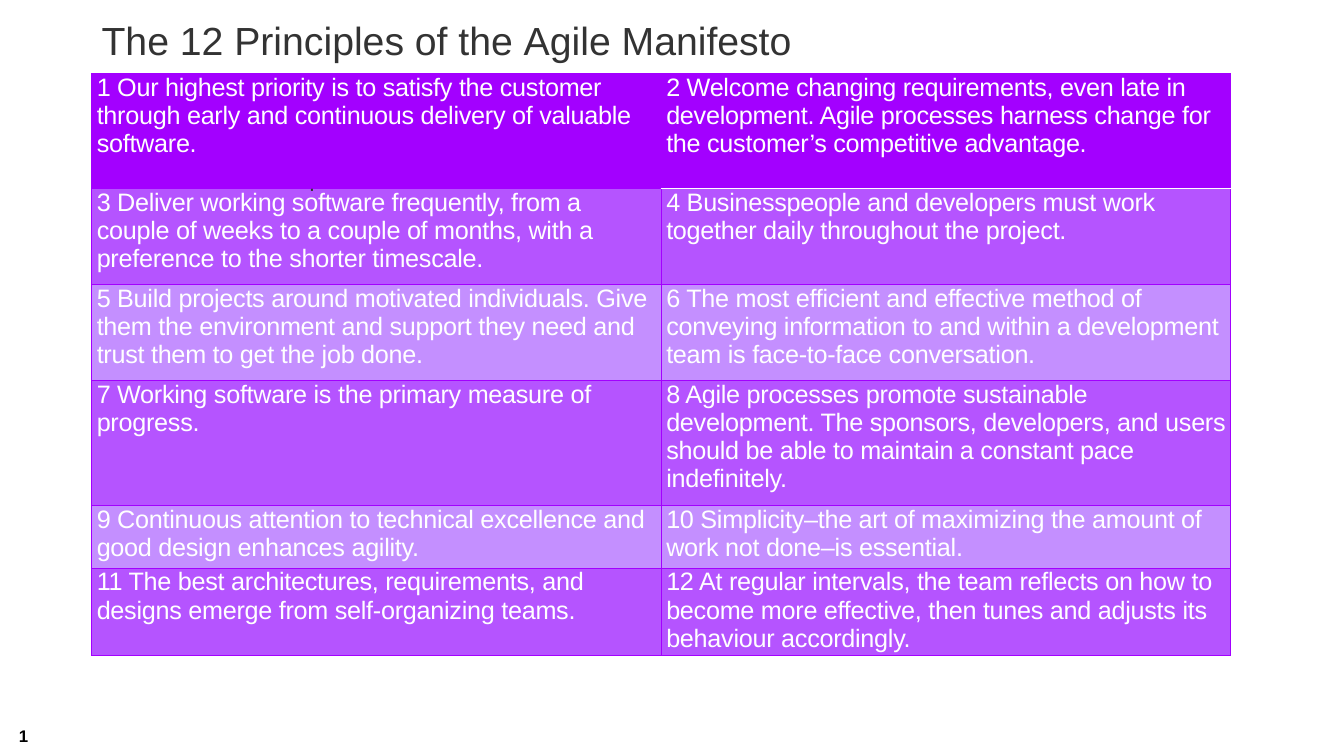
"""Build the slide listing the 12 principles of the Agile Manifesto."""
from dataclasses import dataclass

from lxml.etree import SubElement
from pptx import Presentation
from pptx.dml.color import RGBColor
from pptx.enum.text import MSO_ANCHOR
from pptx.oxml.ns import qn
from pptx.slide import Slide
from pptx.table import _Cell
from pptx.text.text import _Paragraph
from pptx.util import Pt

PURPLE, MEDIUM, LIGHT = "A300FF", "B554FF", "C48FFF"
WHITE, BLACK, GREY = "FFFFFF", "000000", "333333"


@dataclass
class Label:
    """A line of text in its own box."""
    text: str
    left: float
    top: float
    width: float
    height: float
    size: float
    color: str
    bold: bool = False
    anchor: MSO_ANCHOR = MSO_ANCHOR.MIDDLE
    spacing: float = 1.0


@dataclass
class Row:
    """A table row with its height, fill and two principles."""
    height: float
    fill: str
    principles: tuple[str, str]


LABELS = [
    Label("1", 6.5, 511, 36.5, 29, 12, BLACK, bold=True),
    Label("The 12 Principles of the\u00a0Agile Manifesto", 65.5, 8.6, 813.6, 44, 28, GREY,
          spacing=0.9),
    Label(".", 213.8, 118, 19, 25, 15, GREY, anchor=MSO_ANCHOR.TOP),
]

ROWS = [
    Row(82.1, PURPLE, (
        "1 Our highest priority is to satisfy the customer through early and continuous "
        "delivery of valuable software.",
        "2 Welcome changing requirements, even late in development. Agile processes harness "
        "change for the customer’s competitive advantage.")),
    Row(68.5, MEDIUM, (
        "3 Deliver working software frequently, from a couple of weeks to a couple of months, "
        "with a preference to the shorter timescale.",
        "4 Businesspeople and developers must work together daily throughout the project.")),
    Row(68.5, LIGHT, (
        "5 Build projects around motivated individuals. Give them the environment and support "
        "they need and trust them to get the job done.",
        "6 The most efficient and effective method of conveying information to and within a "
        "development team is face-to-face conversation.")),
    Row(89.3, MEDIUM, (
        "7 Working software is the primary measure of progress.",
        "8 Agile processes promote sustainable development. The sponsors, developers, and "
        "users should be able to maintain a constant pace indefinitely.")),
    Row(44.8, LIGHT, (
        "9 Continuous attention to technical excellence and good design enhances agility.",
        "10 Simplicity–the art of maximizing the amount of work not done–is essential.")),
    Row(62.2, MEDIUM, (
        "11 The best architectures, requirements, and designs emerge from self-organizing "
        "teams.",
        "12 At regular intervals, the team reflects on how to become more effective, then "
        "tunes and adjusts its behaviour accordingly.")),
]


def rgb(color: str) -> RGBColor:
    """Turn a hex string into a colour."""
    return RGBColor.from_string(color)


def add_span(para: _Paragraph, text: str, size: float, color: str, bold: bool = False,
             tracking: float = 0) -> None:
    """Add a run in Arial to a paragraph."""
    span = para.add_run()
    span.text = text
    span.font.name = "Arial"
    span.font.size = Pt(size)
    span.font.bold = bold
    span.font.color.rgb = rgb(color)
    if tracking:
        span.font._element.set("spc", str(round(tracking * 100)))


def add_label(page: Slide, label: Label) -> None:
    """Add a text box for a label."""
    box = page.shapes.add_textbox(Pt(label.left), Pt(label.top), Pt(label.width),
                                  Pt(label.height))
    frame = box.text_frame
    frame.word_wrap = True
    frame.vertical_anchor = label.anchor
    para = frame.paragraphs[0]
    para.line_spacing = label.spacing
    add_span(para, label.text, label.size, label.color, label.bold)


def add_border(cell: _Cell, side: str, color: str, width: float) -> None:
    """Draw one side of a cell."""
    line = SubElement(cell._tc.get_or_add_tcPr(), qn(f"a:ln{side}"), w=str(Pt(width)))
    SubElement(SubElement(line, qn("a:solidFill")), qn("a:srgbClr"), val=color)


def fill_cell(cell: _Cell, text: str, fill: str, borders: dict[str, tuple[str, float]]) -> None:
    """Give a cell its borders, fill and text."""
    for side, (color, width) in borders.items():
        add_border(cell, side, color, width)
    cell.fill.solid()
    cell.fill.fore_color.rgb = rgb(fill)
    cell.margin_left = cell.margin_right = Pt(3.6)
    cell.margin_top = cell.margin_bottom = Pt(0)
    add_span(cell.text_frame.paragraphs[0], text, 18, WHITE, tracking=-0.2)


def add_principles(page: Slide) -> None:
    """Add the table of principles."""
    height = sum(row.height for row in ROWS)
    table = page.shapes.add_table(len(ROWS), 2, Pt(65.5), Pt(52.6), Pt(813.6), Pt(height)).table
    thin, middle, divider = (PURPLE, 0.5), (PURPLE, 1), (WHITE, 1)
    for row_index, row in enumerate(ROWS):
        table.rows[row_index].height = Pt(row.height)
        for column, text in enumerate(row.principles):
            borders = {
                "L": middle if column == 1 else thin,
                "R": middle if column == 0 else thin,
                "T": divider if (row_index, column) == (1, 1) else thin,
                "B": divider if (row_index, column) == (0, 1) else thin,
            }
            fill_cell(table.cell(row_index, column), text, row.fill, borders)


def main() -> None:
    """Build and save the deck."""
    deck = Presentation()
    deck.slide_width, deck.slide_height = Pt(960), Pt(540)
    page = deck.slides.add_slide(deck.slide_layouts[6])
    add_principles(page)
    for label in LABELS:
        add_label(page, label)
    deck.save("out.pptx")


main()
